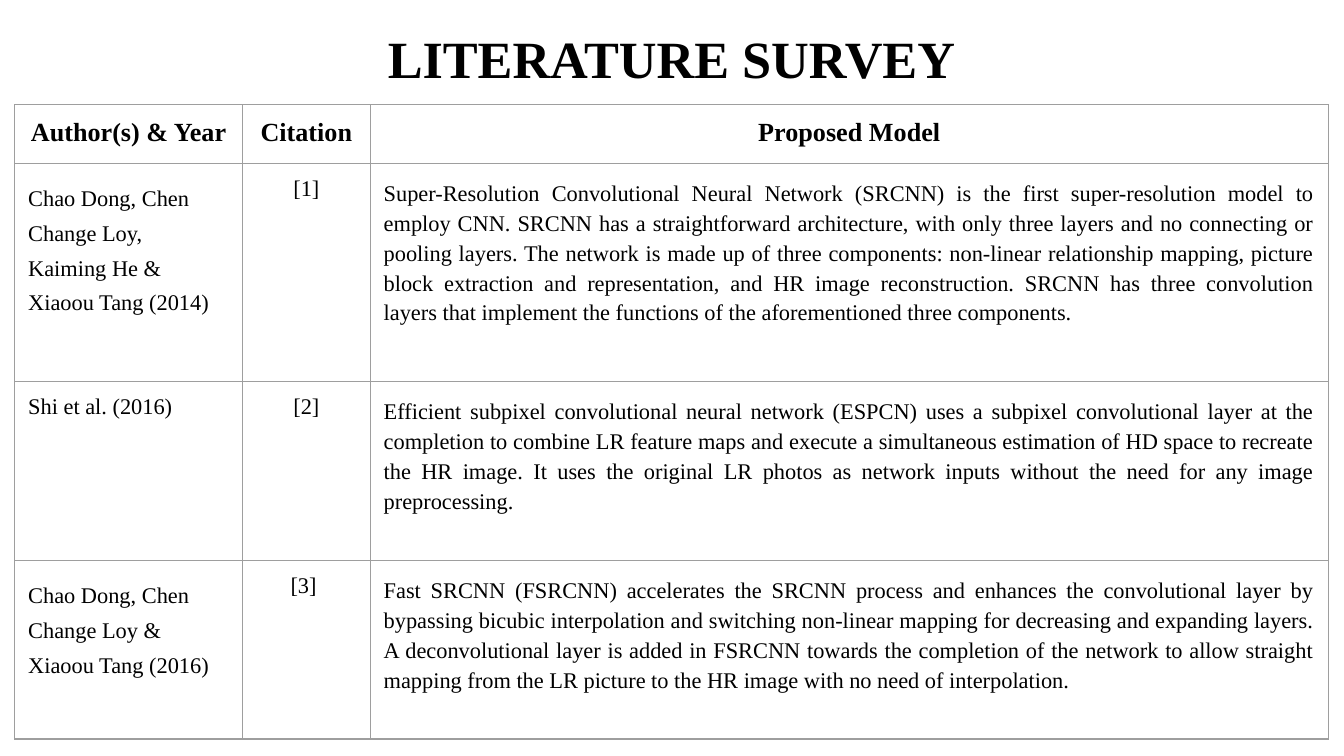
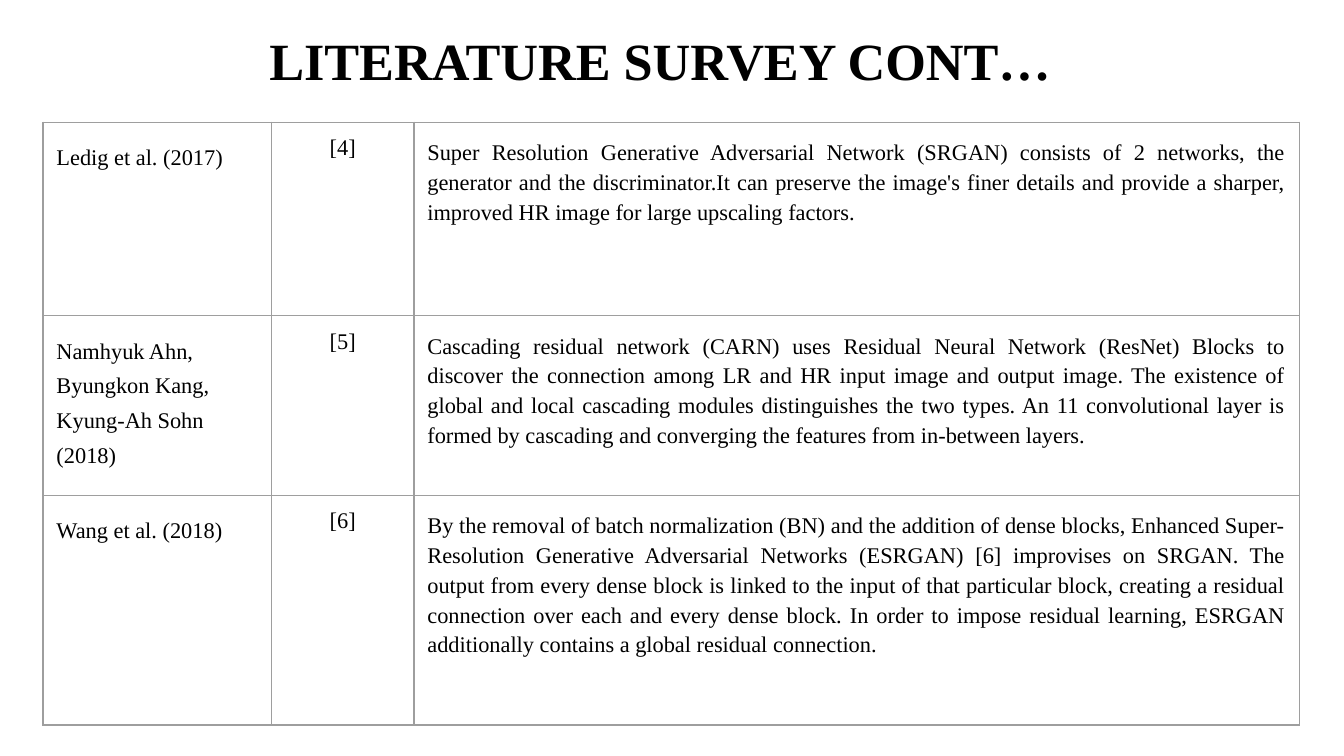
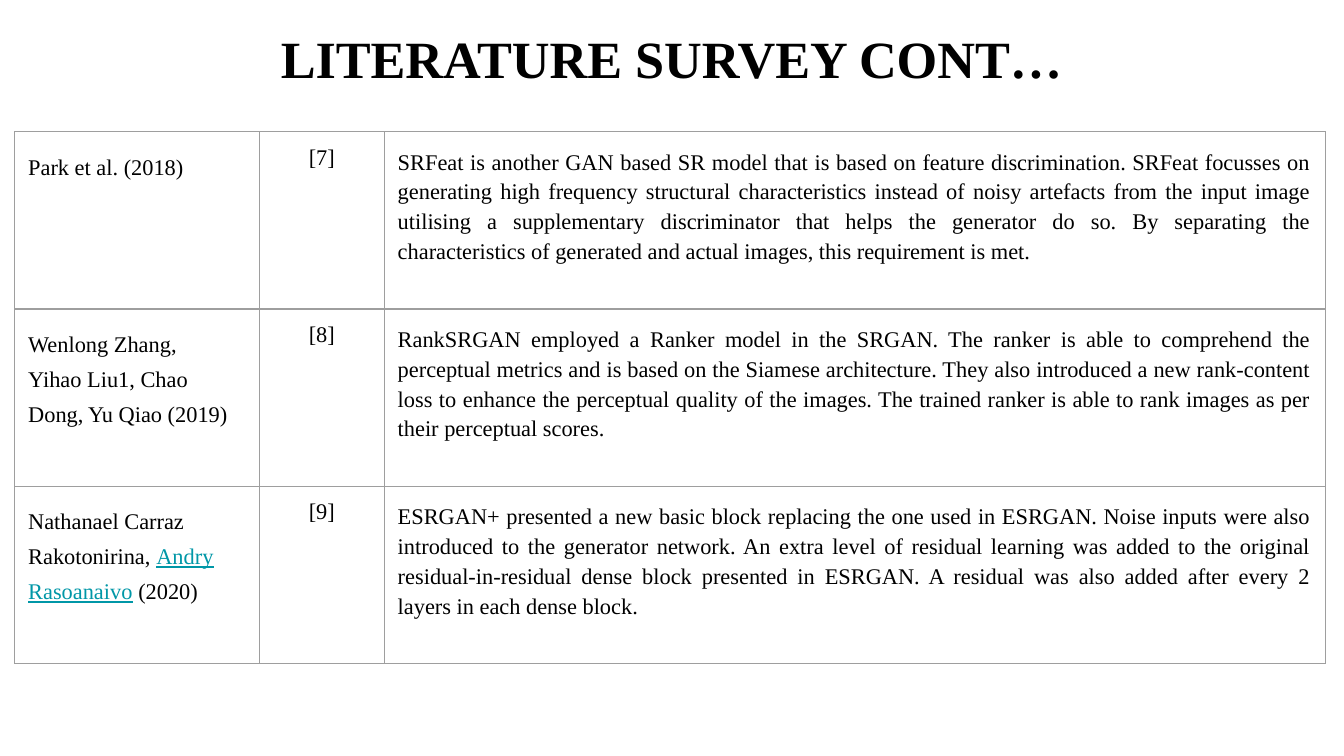
from dataclasses import dataclass

from lxml import etree
from pptx import Presentation
from pptx import util as u
from pptx.dml.color import RGBColor
from pptx.enum import text
from pptx.oxml import ns

PX = 4572


@dataclass(frozen=True)
class Theme:
    font: str = "Times New Roman"
    ink: str = "000000"
    paper: str = "FFFFFF"
    link: str = "0097A7"
    rule: str = "9E9E9E"
    rule_width: float = 0.75
    title_size: int = 28
    header_size: int = 14
    body_size: int = 12
    title_spacing: float = 0.9
    author_spacing: float = 1.4
    model_spacing: float = 1.2
    inset: int = 20
    author_right_inset: int = 40
    table_frame: int = 656


THEME = Theme()
LEFT, CENTER, JUSTIFY = (
    text.PP_ALIGN.LEFT, text.PP_ALIGN.CENTER, text.PP_ALIGN.JUSTIFY)

HEADINGS = ["Author(s) & Year", "Citation", "Proposed Model"]

SURVEYS = [
    dict(
        title="LITERATURE SURVEY", title_box=(4, 30, 1990, 126),
        corner=(22, 156), columns=[339, 190, 1426], rows=[83, 325, 266, 266],
        headings=HEADINGS,
        papers=[
            ("Chao Dong, Chen Change Loy, Kaiming He & Xiaoou Tang (2014)",
             "[1]",
             "Super-Resolution Convolutional Neural Network (SRCNN) is the "
             "first super-resolution model to employ CNN. SRCNN has a "
             "straightforward architecture, with only three layers and no "
             "connecting or pooling layers. The network is made up of three "
             "components: non-linear relationship mapping, picture block "
             "extraction and representation, and HR image reconstruction. "
             "SRCNN has three convolution layers that implement the functions "
             "of the aforementioned three components."),
            ("Shi et al. (2016)", "[2]",
             "Efficient subpixel convolutional neural network (ESPCN) uses a "
             "subpixel convolutional layer at the completion to combine LR "
             "feature maps and execute a simultaneous estimation of HD space "
             "to recreate the HR image. It uses the original LR photos as "
             "network inputs without the need for any image preprocessing."),
            ("Chao Dong, Chen Change Loy & Xiaoou Tang (2016)", "[3] ",
             "Fast SRCNN (FSRCNN) accelerates the SRCNN process and enhances "
             "the convolutional layer by bypassing bicubic interpolation and "
             "switching non-linear mapping for decreasing and expanding "
             "layers. A deconvolutional layer is added in FSRCNN towards the "
             "completion of the network to allow straight mapping from the LR "
             "picture to the HR image with no need of interpolation."),
        ],
        single_spaced=["Shi et al. (2016)"],
    ),
    dict(
        title="LITERATURE SURVEY CONT…", title_box=(0, 32, 1964, 126),
        corner=(64, 182), columns=[340, 212, 1318], rows=[288, 267, 342],
        papers=[
            ("Ledig et al. (2017)", "[4]",
             "Super Resolution Generative Adversarial Network (SRGAN) "
             "consists of 2 networks, the generator and the discriminator.It "
             "can preserve the image's finer details and provide a sharper, "
             "improved HR image for large upscaling factors."),
            ("Namhyuk Ahn, Byungkon Kang, Kyung-Ah Sohn (2018)", "[5]",
             "Cascading residual network (CARN) uses Residual Neural Network "
             "(ResNet) Blocks to discover the connection among LR and HR "
             "input image and output image. The existence of global and local "
             "cascading modules distinguishes the two types. An 11 "
             "convolutional layer is formed by cascading and converging the "
             "features from in-between layers."),
            ("Wang et al. (2018)", "[6]",
             "By the removal of batch normalization (BN) and the addition of "
             "dense blocks, Enhanced Super-Resolution Generative Adversarial "
             "Networks (ESRGAN) [6] improvises on SRGAN. The output from "
             "every dense block is linked to the input of that particular "
             "block, creating a residual connection over each and every dense "
             "block. In order to impose residual learning, ESRGAN "
             "additionally contains a global residual connection."),
        ],
    ),
    dict(
        title="LITERATURE SURVEY CONT…", title_box=(4, 30, 1990, 126),
        corner=(22, 196), columns=[364, 186, 1400], rows=[264] * 3,
        papers=[
            ("Park et al. (2018)", "[7]",
             "SRFeat is another GAN based SR model that is based on feature "
             "discrimination. SRFeat focusses on generating high frequency "
             "structural characteristics instead of noisy artefacts from the "
             "input image utilising a supplementary discriminator that helps "
             "the generator do so. By separating the characteristics of "
             "generated and actual images, this requirement is met."),
            ("Wenlong Zhang, Yihao Liu1, Chao Dong, Yu Qiao (2019)", "[8]",
             "RankSRGAN employed a Ranker model in the SRGAN. The ranker is "
             "able to comprehend the perceptual metrics and is based on the "
             "Siamese architecture. They also introduced a new rank-content "
             "loss to enhance the perceptual quality of the images. The "
             "trained ranker is able to rank images as per their perceptual "
             "scores."),
            (["Nathanael Carraz Rakotonirina, ", ("Andry Rasoanaivo",),
              " (2020)"], "[9]",
             "ESRGAN+ presented a new basic block replacing the one used in "
             "ESRGAN. Noise inputs were also introduced to the generator "
             "network. An extra level of residual learning was added to the "
             "original residual-in-residual dense block presented in ESRGAN. "
             "A residual was also added after every 2 layers in each dense "
             "block."),
        ],
    ),
]


def px(length):
    return u.Emu(length * PX)


def write(paragraph, content, size, align, spacing=None, bold=False):
    paragraph.alignment = align
    if spacing:
        paragraph.line_spacing = spacing
    for part in [content] if isinstance(content, str) else content:
        linked = isinstance(part, tuple)
        run = paragraph.add_run()
        run.text = part[0] if linked else part
        run.font.name = THEME.font
        run.font.size = u.Pt(size)
        run.font.bold = bold
        run.font.underline = linked
        run.font.color.rgb = RGBColor.from_string(
            THEME.link if linked else THEME.ink)


def set_insets(holder):
    holder.margin_left = holder.margin_right = px(THEME.inset)
    holder.margin_top = holder.margin_bottom = px(THEME.inset)
    holder.vertical_anchor = text.MSO_ANCHOR.TOP


def place_title(slide, wording, box):
    title = slide.shapes.title
    title.left, title.top, title.width, title.height = map(px, box)
    frame = title.text_frame
    set_insets(frame)
    frame.word_wrap = True
    frame.auto_size = text.MSO_AUTO_SIZE.SHAPE_TO_FIT_TEXT
    write(frame.paragraphs[0], wording, THEME.title_size, CENTER,
          THEME.title_spacing, bold=True)


def rule_cell(cell):
    properties = cell._tc.get_or_add_tcPr()
    for side in ("a:lnL", "a:lnR", "a:lnT", "a:lnB"):
        line = etree.SubElement(properties, ns.qn(side),
                                w=str(u.Pt(THEME.rule_width)))
        fill = etree.SubElement(line, ns.qn("a:solidFill"))
        etree.SubElement(fill, ns.qn("a:srgbClr"), val=THEME.rule)
    cell.fill.background()


def add_survey_table(slide, corner, columns, rows, papers, headings=None,
                     single_spaced=()):
    left, top = corner
    frame = slide.shapes.add_table(
        len(rows), len(columns), px(left), px(top),
        px(sum(columns)), px(sum(rows)))
    survey = frame.table
    survey.first_row = headings is not None
    survey.horz_banding = False
    for column, width in zip(survey.columns, columns):
        column.width = px(width)
    for row, height in zip(survey.rows, rows):
        row.height = px(height)
    frame.width = frame.height = px(THEME.table_frame)
    for cell in survey.iter_cells():
        set_insets(cell)
        rule_cell(cell)

    first_paper = 0
    if headings:
        first_paper = 1
        for column, heading in enumerate(headings):
            write(survey.cell(0, column).text_frame.paragraphs[0], heading,
                  THEME.header_size, CENTER, bold=True)
    for row, paper in enumerate(papers, first_paper):
        author_spacing = (None if paper[0] in single_spaced
                          else THEME.author_spacing)
        styles = [(LEFT, author_spacing), (CENTER, None),
                  (JUSTIFY, THEME.model_spacing)]
        survey.cell(row, 0).margin_right = px(THEME.author_right_inset)
        for column, (content, style) in enumerate(zip(paper, styles)):
            write(survey.cell(row, column).text_frame.paragraphs[0], content,
                  THEME.body_size, *style)


def add_survey_slide(deck, title, title_box, **survey):
    slide = deck.slides.add_slide(deck.slide_layouts.get_by_name("Title Only"))
    slide.background.fill.solid()
    slide.background.fill.fore_color.rgb = RGBColor.from_string(THEME.paper)
    add_survey_table(slide, **survey)
    place_title(slide, title, title_box)


def main():
    deck = Presentation()
    deck.slide_width, deck.slide_height = px(2000), px(1125)
    for survey in SURVEYS:
        add_survey_slide(deck, **survey)
    deck.save("out.pptx")


if __name__ == "__main__":
    main()
